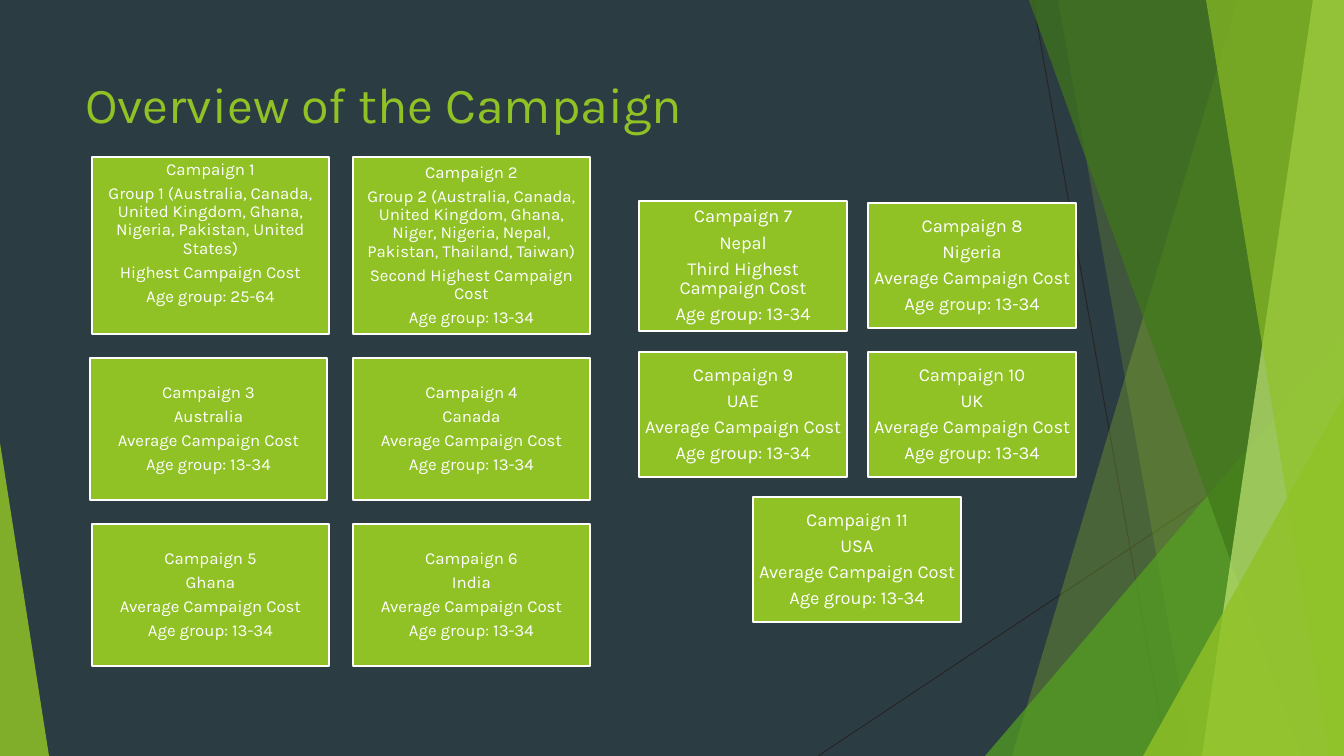
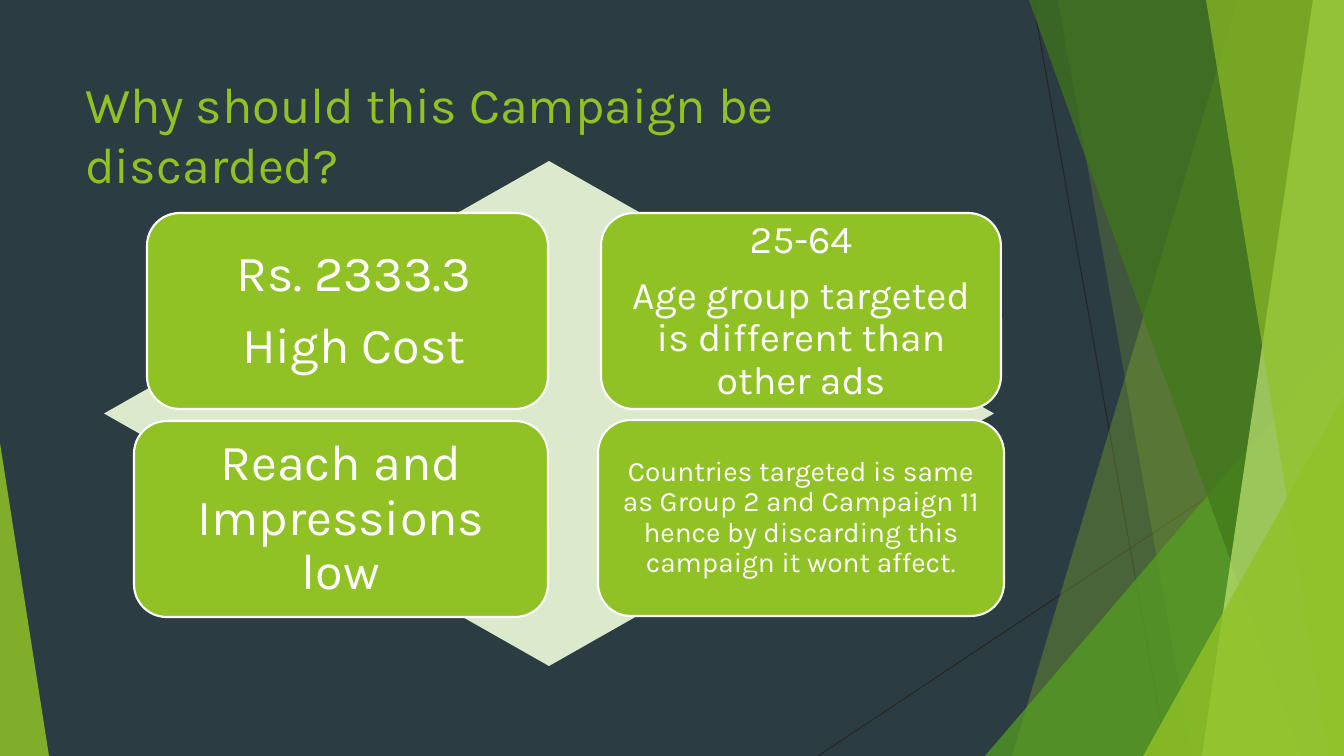
from lxml.etree import SubElement
from pptx import Presentation
from pptx.dml.color import RGBColor
from pptx.enum.shapes import MSO_CONNECTOR, MSO_SHAPE
from pptx.enum.text import MSO_ANCHOR, MSO_AUTO_SIZE, PP_ALIGN
from pptx.oxml.ns import qn
from pptx.util import Pt

SCALE = 914400 / 100.8
WIDTH, HEIGHT = 1344, 756
FONT = "Karla"
COLORS = {
    "background": "2C3C43",
    "lime": "90C226",
    "green": "54A021",
    "forest": "3F7819",
    "pale": "C0E474",
    "mist": "DBE9CD",
    "line": "262626",
    "white": "FFFFFF",
}
AVERAGE = "Average Campaign Cost"
YOUNG = "Age group: 13-34"
CAMPAIGNS = [
    ("Group 1 (Australia, Canada, United Kingdom, Ghana, Nigeria, Pakistan, "
     "United States)", "Highest Campaign Cost", "Age group: 25-64"),
    ("Group 2 (Australia, Canada, United Kingdom, Ghana, Niger, Nigeria, Nepal, "
     "Pakistan, Thailand, Taiwan)", "Second Highest Campaign Cost", YOUNG),
    ("Australia", AVERAGE, YOUNG),
    ("Canada", AVERAGE, YOUNG),
    ("Ghana", AVERAGE, YOUNG),
    ("India", AVERAGE, YOUNG),
    ("Nepal", "Third Highest Campaign Cost", YOUNG),
    ("Nigeria", AVERAGE, YOUNG),
    ("UAE", AVERAGE, YOUNG),
    ("UK", AVERAGE, YOUNG),
    ("USA", AVERAGE, YOUNG),
]
LEFT_BOXES = [
    (92, 157, 237, 177), (353, 157, 237, 177),
    (90, 358, 237, 142), (353, 358, 237, 142),
    (92, 524, 237, 142), (353, 524, 237, 142),
]
RIGHT_BOXES = [
    (639, 201, 208, 130), (868, 203, 208, 125),
    (639, 352, 208, 125), (868, 352, 208, 125),
    (753, 497, 208, 125),
]
REASONS = [
    ((147, 213, 401, 196), ["Rs. 2333.3", "High Cost"], 36, (28, 15, 15, 15)),
    ((601, 213, 400, 196),
     ["25-64", "Age group targeted is different than other ads"], 28, (12,) * 4),
    ((134, 421, 414, 196), ["Reach and Impressions low"], 36, (15,) * 4),
    ((598, 420, 406, 196),
     ["Countries targeted is same as Group 2 and Campaign 11 hence by discarding "
      "this campaign it wont affect."], 20, (8,) * 4),
]


def px(n):
    """Turn pixels into EMU."""
    return round(n * SCALE)


def rgb(name):
    """Look up a named colour."""
    return RGBColor.from_string(COLORS[name])


def paint(shape, color, alpha=100):
    """Give a shape a flat fill without outline or shadow."""
    shape.shadow.inherit = False
    shape.fill.solid()
    shape.fill.fore_color.rgb = rgb(color)
    shape.line.fill.background()
    if alpha < 100:
        clr = shape.element.spPr.find(".//" + qn("a:srgbClr"))
        SubElement(clr, qn("a:alpha")).set("val", str(alpha * 1000))


def add_preset(s, kind, box, color, alpha=100):
    """Add a painted preset shape."""
    shape = s.shapes.add_shape(kind, *map(px, box))
    paint(shape, color, alpha)
    return shape


def add_triangle(s, box, apex, color, alpha):
    """Add a translucent triangle with its apex at a share of the width."""
    shape = add_preset(s, MSO_SHAPE.ISOSCELES_TRIANGLE, box, color, alpha)
    shape.adjustments[0] = apex


def add_band(s, top, bottom, color, alpha):
    """Add a full-height band from a slanted edge to the right side."""
    builder = s.shapes.build_freeform(top, 0, scale=SCALE)
    builder.add_line_segments([(WIDTH, 0), (WIDTH, HEIGHT), (bottom, HEIGHT)])
    paint(builder.convert_to_shape(), color, alpha)


def add_line(s, *ends):
    """Add a thin straight line."""
    line = s.shapes.add_connector(MSO_CONNECTOR.STRAIGHT, *map(px, ends))
    line.line.color.rgb = rgb("line")
    line.line.width = Pt(0.75)
    SubElement(line.element.spPr, qn("a:effectLst"))


def add_run(p, text, size, color):
    """Add one formatted run."""
    r = p.add_run()
    r.text = text
    r.font.name = FONT
    r.font.size = Pt(size)
    r.font.color.rgb = rgb(color)


def set_frame(tf, anchor, pad):
    """Set wrapping, anchor and insets of a text frame."""
    tf.word_wrap = True
    tf.auto_size = MSO_AUTO_SIZE.NONE
    tf.vertical_anchor = anchor
    tf.margin_left, tf.margin_top, tf.margin_right, tf.margin_bottom = map(px, pad)


def add_card(s, kind, box, lines, size, pad):
    """Add an outlined lime card with centred paragraphs."""
    card = add_preset(s, kind, box, "lime")
    card.line.color.rgb = rgb("white")
    card.line.width = Pt(1.5)
    tf = card.text_frame
    set_frame(tf, MSO_ANCHOR.MIDDLE, pad)
    for i, text in enumerate(lines):
        p = tf.add_paragraph() if i else tf.paragraphs[0]
        p.alignment = PP_ALIGN.CENTER
        p.line_spacing = 0.9
        p.space_after = Pt(size * 0.35)
        add_run(p, text, size, "white")


def add_backdrop(s):
    """Add the lines and green facets shared by the slides."""
    add_line(s, 1033, 0, 1167, HEIGHT)
    add_line(s, WIDTH, 406, 818, HEIGHT)
    add_band(s, 1238, 1012, "lime", 30)
    add_band(s, 1058, 1192, "lime", 20)
    add_triangle(s, (985, 336, 359, 420), 1, "green", 72)
    add_band(s, 1029, 1301, "forest", 70)
    add_band(s, 1313, 1202, "pale", 70)
    add_band(s, 1206, 1329, "lime", 65)
    add_triangle(s, (1143, 396, 201, 360), 1, "lime", 80)
    add_triangle(s, (0, 443, 49, 313), 0, "lime", 85)


def new_slide(prs, title):
    """Start a titled slide with the shared backdrop."""
    s = prs.slides.add_slide(prs.slide_layouts[5])
    add_backdrop(s)
    ph = s.shapes.title
    ph.left, ph.top, ph.width, ph.height = map(px, (75, 68, 948, 145))
    set_frame(ph.text_frame, MSO_ANCHOR.TOP, (10, 5, 10, 5))
    p = ph.text_frame.paragraphs[0]
    p.alignment = PP_ALIGN.LEFT
    add_run(p, title, 36, "lime")
    return s


def build_overview(prs):
    """Build the slide of campaign cards."""
    s = new_slide(prs, "Overview of the Campaign")
    boxes = LEFT_BOXES + RIGHT_BOXES
    for number, (box, lines) in enumerate(zip(boxes, CAMPAIGNS), 1):
        size = 12 if box in LEFT_BOXES else 13
        pad = (5, 5, 5, 29 if number == 1 else 5)
        add_card(s, MSO_SHAPE.RECTANGLE, box, (f"Campaign {number}", *lines), size, pad)


def build_reasons(prs):
    """Build the slide of reasons around a diamond."""
    s = new_slide(prs, "Why should this Campaign be discarded?")
    add_preset(s, MSO_SHAPE.DIAMOND, (104, 161, 890, 505), "mist")
    for box, lines, size, pad in REASONS:
        add_card(s, MSO_SHAPE.ROUNDED_RECTANGLE, box, lines, size, pad)


def main():
    """Build and save the presentation."""
    prs = Presentation()
    prs.slide_width, prs.slide_height = px(WIDTH), px(HEIGHT)
    fill = prs.slide_master.background.fill
    fill.solid()
    fill.fore_color.rgb = rgb("background")
    build_overview(prs)
    build_reasons(prs)
    prs.save("out.pptx")


main()
